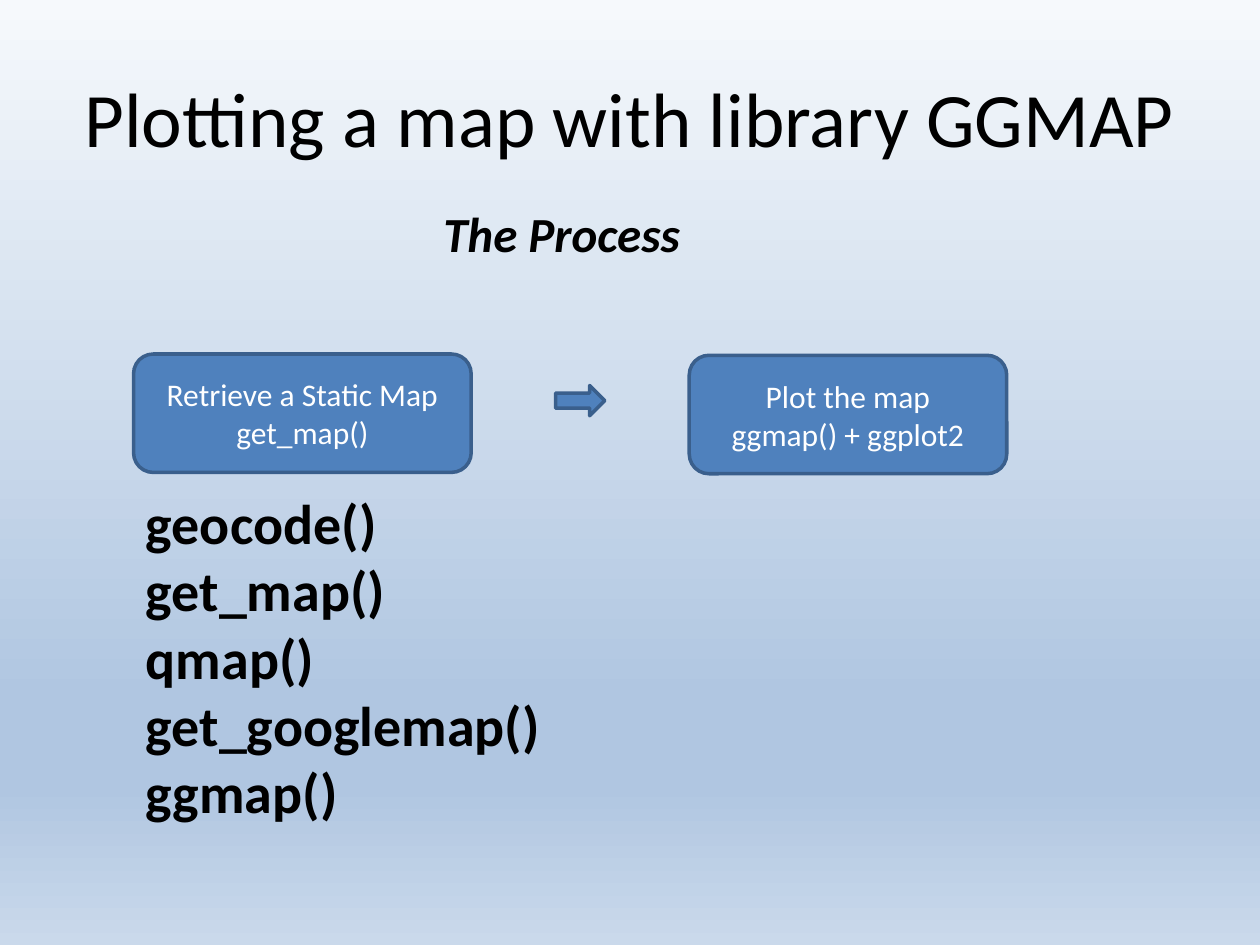
from lxml import etree
from pptx import Presentation
from pptx.dml.color import RGBColor
from pptx.enum.shapes import MSO_SHAPE
from pptx.enum.text import MSO_ANCHOR, PP_ALIGN
from pptx.oxml.ns import qn
from pptx.util import Inches, Pt

ROUNDED, ARROW = MSO_SHAPE.ROUNDED_RECTANGLE, MSO_SHAPE.RIGHT_ARROW
LEFT, CENTER = PP_ALIGN.LEFT, PP_ALIGN.CENTER
TOP, MIDDLE = MSO_ANCHOR.TOP, MSO_ANCHOR.MIDDLE
BLACK, WHITE, BLUE, DARK_BLUE = "000000", "FFFFFF", "4F81BD", "3A5F8C"
BACKGROUND = [(0, "F6F9FC"), (74, "B0C6E1"), (83, "B0C6E1"), (100, "CAD9EB")]
FUNCTIONS = ["geocode()", "get_map()", "qmap()", "get_googlemap()", "ggmap()"]
STEPS = [
    ((1.06, 2.81, 2.68, 0.94), ["Retrieve a Static Map", "get_map()"]),
    ((5.47, 2.82, 2.52, 0.94), ["Plot the map", "ggmap() + ggplot2"]),
]


def rgb(value):
    return RGBColor.from_string(value)


def paint_background(s, stops):
    fill = s.background.fill
    fill.gradient()
    fill.gradient_angle = 270
    gs_list = next(s.element.iter(qn("a:gsLst")))
    for gs in list(gs_list):
        gs_list.remove(gs)
    for percent, color in stops:
        gs = etree.SubElement(gs_list, qn("a:gs"), pos=str(percent * 1000))
        etree.SubElement(gs, qn("a:srgbClr"), val=color)


def write_lines(tf, lines, color=BLACK, align=LEFT, anchor=TOP, **font):
    tf.word_wrap = True
    tf.vertical_anchor = anchor
    for i, line in enumerate(lines):
        p = tf.paragraphs[0] if i == 0 else tf.add_paragraph()
        p.alignment = align
        r = p.add_run()
        r.text = line
        r.font.color.rgb = rgb(color)
        for name, value in {"name": "Calibri", **font}.items():
            setattr(r.font, name, value)


def add_text(s, box, lines, **style):
    tb = s.shapes.add_textbox(*map(Inches, box))
    write_lines(tb.text_frame, lines, **style)


def add_blue_shape(s, kind, box):
    sp = s.shapes.add_shape(kind, *map(Inches, box))
    sp.shadow.inherit = False
    sp.fill.solid()
    sp.fill.fore_color.rgb = rgb(BLUE)
    sp.line.color.rgb = rgb(DARK_BLUE)
    sp.line.width = Pt(2)
    return sp


def add_step(s, box, lines):
    sp = add_blue_shape(s, ROUNDED, box)
    write_lines(sp.text_frame, lines, color=WHITE, align=CENTER,
                anchor=MIDDLE, size=Pt(18))


def build_slide(prs):
    s = prs.slides.add_slide(prs.slide_layouts[6])
    paint_background(s, BACKGROUND)
    add_text(s, (0.5, 0.3, 9, 1.25), ["Plotting a map with library GGMAP"],
             align=CENTER, anchor=MIDDLE, size=Pt(44))
    add_text(s, (3.42, 1.57, 7.87, 0.57), ["The Process"],
             size=Pt(28), bold=True, italic=True)
    for box, lines in STEPS:
        add_step(s, box, lines)
    add_blue_shape(s, ARROW, (4.41, 3.06, 0.39, 0.24))
    add_text(s, (1.06, 3.83, 6.54, 2.79), FUNCTIONS, size=Pt(32), bold=True)


def main():
    prs = Presentation()
    prs.slide_width, prs.slide_height = Inches(10), Inches(7.5)
    build_slide(prs)
    prs.save("out.pptx")


if __name__ == "__main__":
    main()
